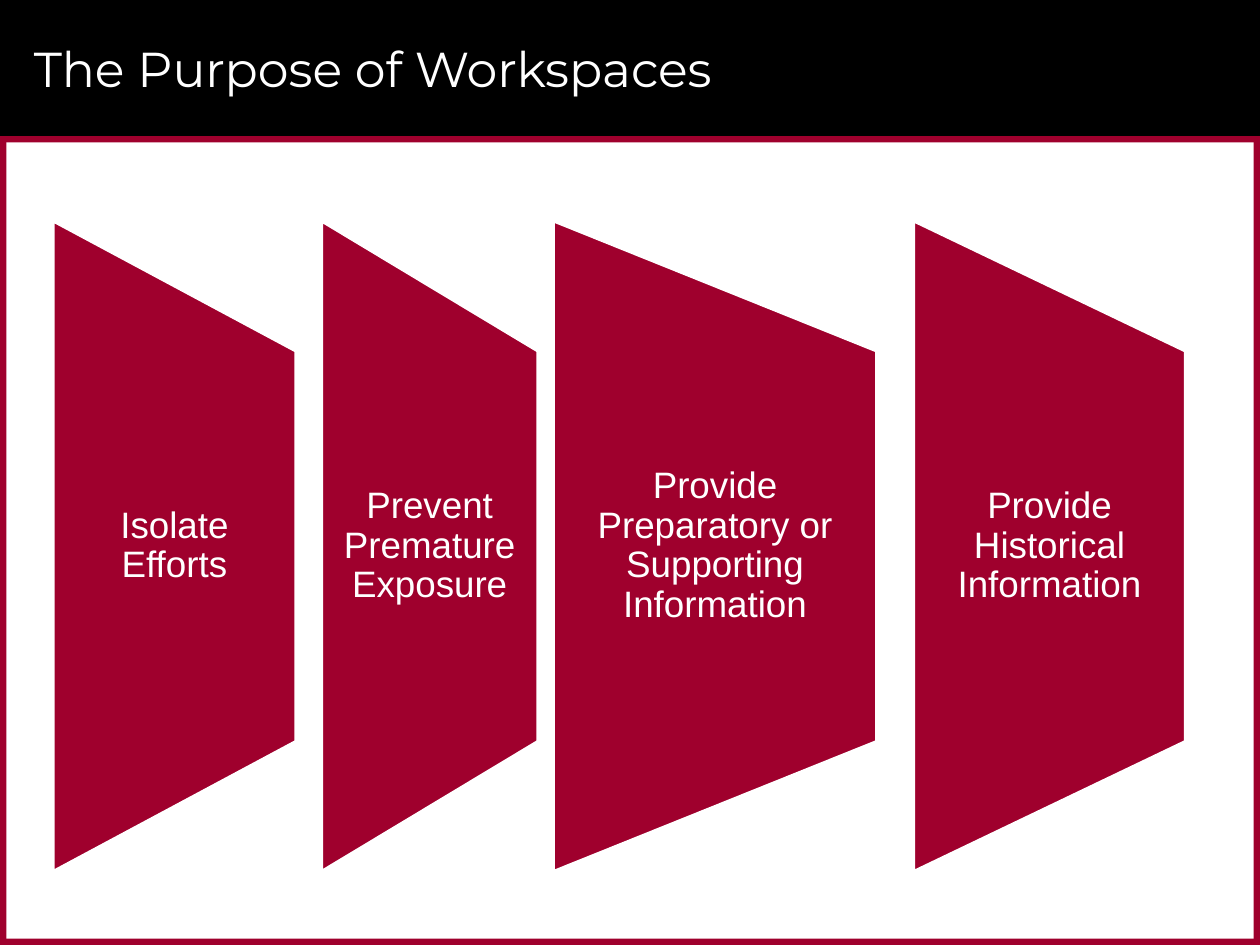
from dataclasses import dataclass

from pptx import Presentation
from pptx import util as u
from pptx.dml.color import RGBColor as Rgb
from pptx.enum import shapes, text

COLS, ROWS = 100, 75
CELL = u.Inches(10) // COLS


@dataclass(frozen=True)
class Theme:
    ink: Rgb = Rgb(0, 0, 0)
    red: Rgb = Rgb(0x9F, 0x00, 0x2D)
    white: Rgb = Rgb(255, 255, 255)
    head: str = "Montserrat"
    body: str = "Arial"
    big: int = 28
    mid: int = 21


THEME = Theme()
KIND = shapes.MSO_SHAPE
HEAD = 10.8
EDGE = 0.5
PANELS = [
    (4.2, 19.3, "Isolate Efforts"),
    (25.5, 17.2, "Prevent Premature Exposure"),
    (43.9, 25.7, "Provide Preparatory or Supporting Information"),
    (72.5, 21.6, "Provide Historical Information"),
]


def scale(box):
    """Turn left, top, width, height in grid cells into lengths."""
    return [round(n * CELL) for n in box]


def shape(slide, kind, box, fill):
    item = slide.shapes.add_shape(kind, *scale(box))
    item.shadow.inherit = False
    item.fill.solid()
    item.fill.fore_color.rgb = fill
    item.line.fill.background()
    return item


def label(slide, box, words, font, size, side, align):
    """Add white text, centred in height, with side insets in inches."""
    frame = slide.shapes.add_textbox(*scale(box)).text_frame
    frame.word_wrap = True
    frame.vertical_anchor = text.MSO_ANCHOR.MIDDLE
    frame.margin_left = frame.margin_right = u.Inches(side)
    frame.margin_top = frame.margin_bottom = 0
    para = frame.paragraphs[0]
    para.alignment = align
    run = para.add_run()
    run.text = words
    run.font.name = font
    run.font.size = u.Pt(size)
    run.font.color.rgb = THEME.white
    return para


def header(slide, box, words):
    left, top, wide, high = box
    shape(slide, KIND.RECTANGLE, box, THEME.ink)
    label(slide, (left + 1.7, top + 0.8, wide - 5.8, high - 1.6), words,
          THEME.head, THEME.big, 0.1, text.PP_ALIGN.LEFT)


def border(slide, box):
    left, top, wide, high = box
    for y in (top, top + high - EDGE):
        shape(slide, KIND.RECTANGLE, (left, y, wide, EDGE), THEME.red)
    for x in (left, left + wide - EDGE):
        shape(slide, KIND.RECTANGLE, (x, top, EDGE, high), THEME.red)


def panel(slide, box, words):
    """Draw a trapezoid, tall side on the left, with its words."""
    left, top, wide, high = box
    shift = (high - wide) / 2
    item = shape(slide, KIND.FLOWCHART_MANUAL_OPERATION,
                 (left - shift, top + shift, high, wide), THEME.red)
    item.rotation = 270
    item.line.color.rgb = THEME.white
    item.line.width = u.Pt(2)
    para = label(slide, (left, top + high / 5, wide, high * 3 / 5), words,
                 THEME.body, THEME.mid, 0.15, text.PP_ALIGN.CENTER)
    para.line_spacing = 0.9


def main():
    deck = Presentation()
    deck.slide_width, deck.slide_height = COLS * CELL, ROWS * CELL
    slide = deck.slides.add_slide(deck.slide_layouts[6])
    header(slide, (0, 0, COLS, HEAD), "The Purpose of Workspaces")
    border(slide, (0, HEAD, COLS, ROWS - HEAD))
    for left, wide, words in PANELS:
        panel(slide, (left, 17.5, wide, 51.7), words)
    deck.save("out.pptx")


if __name__ == "__main__":
    main()
